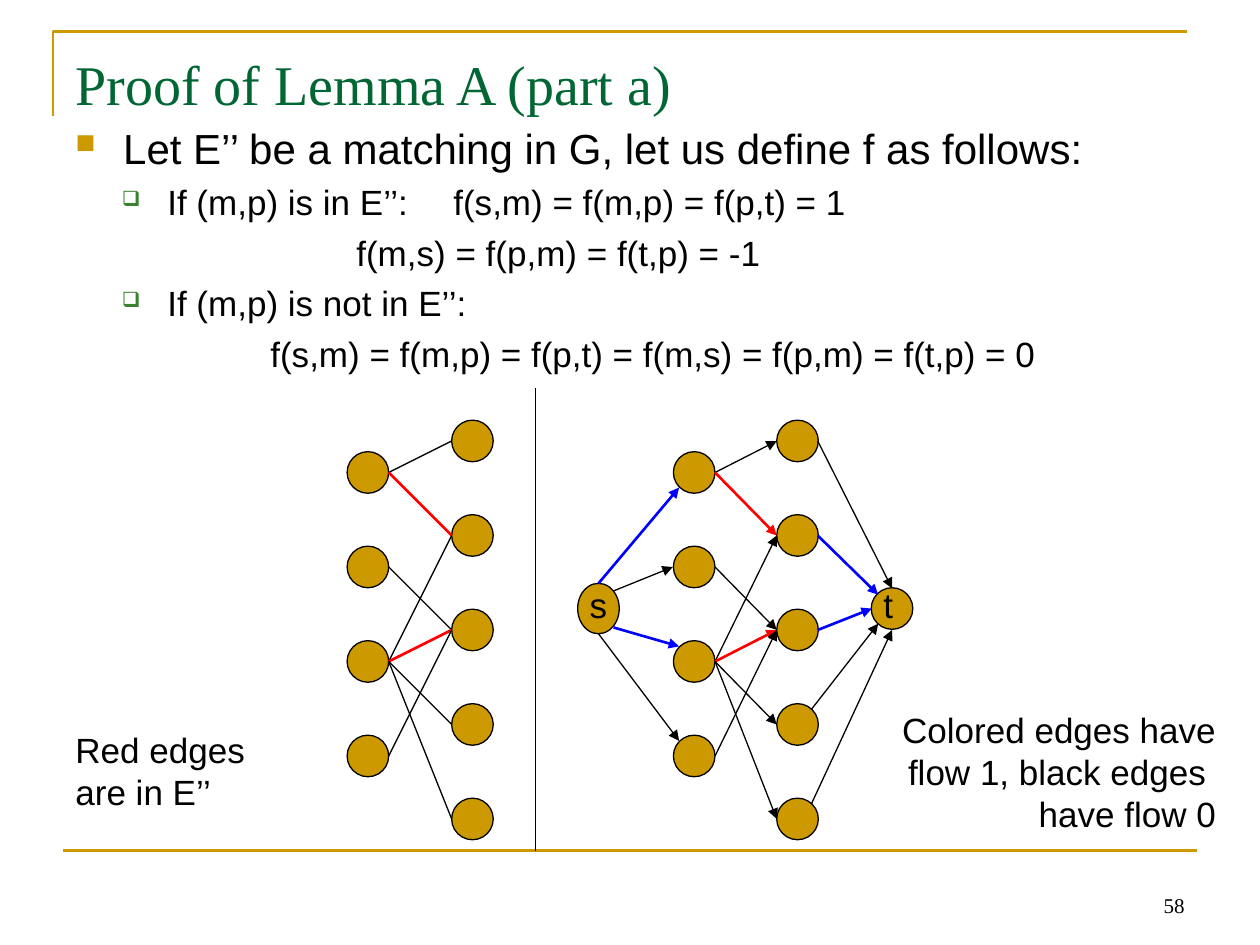
from pptx import Presentation
from pptx.dml.color import RGBColor
from pptx.enum.shapes import MSO_CONNECTOR, MSO_SHAPE
from pptx.enum.text import MSO_ANCHOR, MSO_AUTO_SIZE, PP_ALIGN
from pptx.oxml.ns import qn
from pptx.util import Inches, Pt
from lxml.etree import SubElement

GOLD = RGBColor(0xCC, 0x99, 0x00)
GREEN = RGBColor(0x00, 0x66, 0x33)
LEAF = RGBColor(0x3B, 0x81, 0x2F)
BLACK = RGBColor(0, 0, 0)
RED = RGBColor(0xFF, 0, 0)
BLUE = RGBColor(0, 0, 0xFF)
SANS, SERIF = "Arial", "Times New Roman"
NODE = 0.33


def write(par, text, size=20, font=SANS, color=BLACK, align=None, indent=None,
          before=0, bullet=None):
    """Fill a paragraph; bullet is (sign, colour, percent of text size)."""
    run = par.add_run()
    run.text = text
    run.font.size, run.font.name = Pt(size), font
    run.font.color.rgb = color
    par.alignment = align
    par.space_before = Pt(before)
    props = par._p.get_or_add_pPr()
    if indent:
        left, first = indent
        props.set("marL", str(Inches(left)))
        props.set("indent", str(Inches(first)))
    if bullet:
        sign, tint, scale = bullet
        SubElement(SubElement(props, qn("a:buClr")), qn("a:srgbClr")).set("val", str(tint))
        SubElement(props, qn("a:buSzPct")).set("val", str(scale * 1000))
        SubElement(props, qn("a:buChar")).set("char", sign)


class Board:
    def __init__(self, slide, fill=GOLD, ink=BLACK):
        self.slide, self.fill, self.ink = slide, fill, ink

    def text(self, box, *lines, wrap=True, anchor=MSO_ANCHOR.TOP, top=0.05, **form):
        """Each line is a string, or a string with its own format."""
        frame = self.slide.shapes.add_textbox(*map(Inches, box)).text_frame
        frame.word_wrap, frame.vertical_anchor = wrap, anchor
        frame.margin_top = Inches(top)
        if not wrap:
            frame.auto_size = MSO_AUTO_SIZE.SHAPE_TO_FIT_TEXT
        for i, line in enumerate(lines):
            par = frame.add_paragraph() if i else frame.paragraphs[0]
            words, own = (line, {}) if isinstance(line, str) else line
            write(par, words, **{**form, **own})

    def node(self, x, y, height=NODE):
        """Draw an ellipse centred on x, y."""
        box = x - NODE / 2, y - height / 2, NODE, height
        dot = self.slide.shapes.add_shape(MSO_SHAPE.OVAL, *map(Inches, box))
        dot.shadow.inherit = False
        dot.fill.solid()
        dot.fill.fore_color.rgb = self.fill
        dot.line.color.rgb, dot.line.width = self.ink, Pt(0.75)

    def line(self, start, end, color=None, arrow=False):
        """Coloured lines are twice as thick as plain ones."""
        edge = self.slide.shapes.add_connector(
            MSO_CONNECTOR.STRAIGHT, *map(Inches, (*start, *end)))
        edge.line.color.rgb = color or self.ink
        edge.line.width = Pt(1.5 if color else 0.75)
        if arrow:
            SubElement(edge.line._get_or_add_ln(), qn("a:tailEnd")).set("type", "triangle")
        SubElement(edge._element.spPr, qn("a:effectLst"))

    def frame(self, *points):
        first, *rest = [tuple(map(Inches, p)) for p in points]
        pen = self.slide.shapes.build_freeform(*first)
        pen.add_line_segments(rest, close=False)
        path = pen.convert_to_shape()
        path.shadow.inherit = False
        path.fill.background()
        path.line.color.rgb, path.line.width = GOLD, Pt(1.5)


# Heights of the node rows, and (left, right, colour) of each edge
LEFT = [3.75 + 0.75 * i for i in range(4)]
RIGHT = [3.5 + 0.75 * i for i in range(5)]
PAIRS = [(0, 0, None), (0, 1, RED), (2, 1, None), (1, 2, None),
         (2, 2, RED), (3, 2, None), (2, 3, None), (2, 4, None)]


def graph(board, left, right, arrow=False):
    for x, rows in ((left, LEFT), (right, RIGHT)):
        for y in rows:
            board.node(x, y)
    for a, b, color in PAIRS:
        board.line((left + NODE / 2, LEFT[a]), (right - NODE / 2, RIGHT[b]), color, arrow)


def main():
    deck = Presentation()
    deck.slide_width, deck.slide_height = Inches(10), Inches(7.5)
    board = Board(deck.slides.add_slide(deck.slide_layouts[6]))

    # Frame and page number
    board.frame((0.42, 0.92), (0.42, 0.25), (9.42, 0.25))
    board.line((0.5, 6.75), (9.5, 6.75), GOLD)
    board.text((7.17, 6.83, 2.33, 0.5), "58", size=12, font=SERIF,
               align=PP_ALIGN.RIGHT, anchor=MSO_ANCHOR.BOTTOM)

    # Title and proof
    board.text((0.5, 0.3, 9, 1.25), "Proof of Lemma A (part a)", size=32,
               font=SERIF, color=GREEN, top=0.09)
    box = {"bullet": ("❑", LEAF, 60)}
    board.text(
        (0.5, 0.92, 9, 4.95),
        ("Let E’’ be a matching in G, let us define f as follows:",
         {"size": 24, "indent": (0.38, -0.38), "bullet": ("■", GOLD, 65)}),
        ("If (m,p) is in E’’: \tf(s,m) = f(m,p) = f(p,t) = 1", box),
        "\t\t\t\tf(m,s) = f(p,m) = f(t,p) = -1",
        ("If (m,p) is not in E’’:", box),
        ("f(s,m) = f(m,p) = f(p,t) = f(m,s) = f(p,m) = f(t,p) = 0",
         {"align": PP_ALIGN.CENTER}),
        indent=(0.73, -0.36), before=4.8)

    # Flow network with source and sink
    board.node(4.75, 4.83, height=0.4)
    board.node(7.08, 4.83)
    board.text((4.58, 4.58, 0.34, 0.43), "s", wrap=False, align=PP_ALIGN.CENTER)
    board.text((6.91, 4.58, 0.28, 0.43), "t", wrap=False, align=PP_ALIGN.CENTER)
    graph(board, 5.51, 6.33, arrow=True)
    for start, end, color in (
            ((4.75, 4.63), (5.39, 3.87), BLUE),
            ((4.87, 4.69), (5.34, 4.5), None),
            ((4.87, 4.98), (5.39, 5.13), BLUE),
            ((4.75, 5.03), (5.39, 5.88), None),
            ((6.49, 3.5), (7.08, 4.67), None),
            ((6.49, 4.25), (6.97, 4.72), BLUE),
            ((6.49, 5), (6.92, 4.83), BLUE),
            ((6.44, 5.63), (6.97, 4.95), None),
            ((6.44, 6.38), (7.08, 5), None)):
        board.line(start, end, color, arrow=True)

    # Matching, divider and captions
    graph(board, 2.92, 3.75)
    board.line((4.25, 6.75), (4.25, 3.08))
    board.text((0.5, 5.73, 1.62, 0.77), "Red edges", "are in E’’", wrap=False)
    board.text((6.99, 5.57, 2.76, 1.1), "Colored edges have ", "flow 1, black edges ",
               "have flow 0", wrap=False, align=PP_ALIGN.RIGHT)

    deck.save("out.pptx")


if __name__ == "__main__":
    main()
